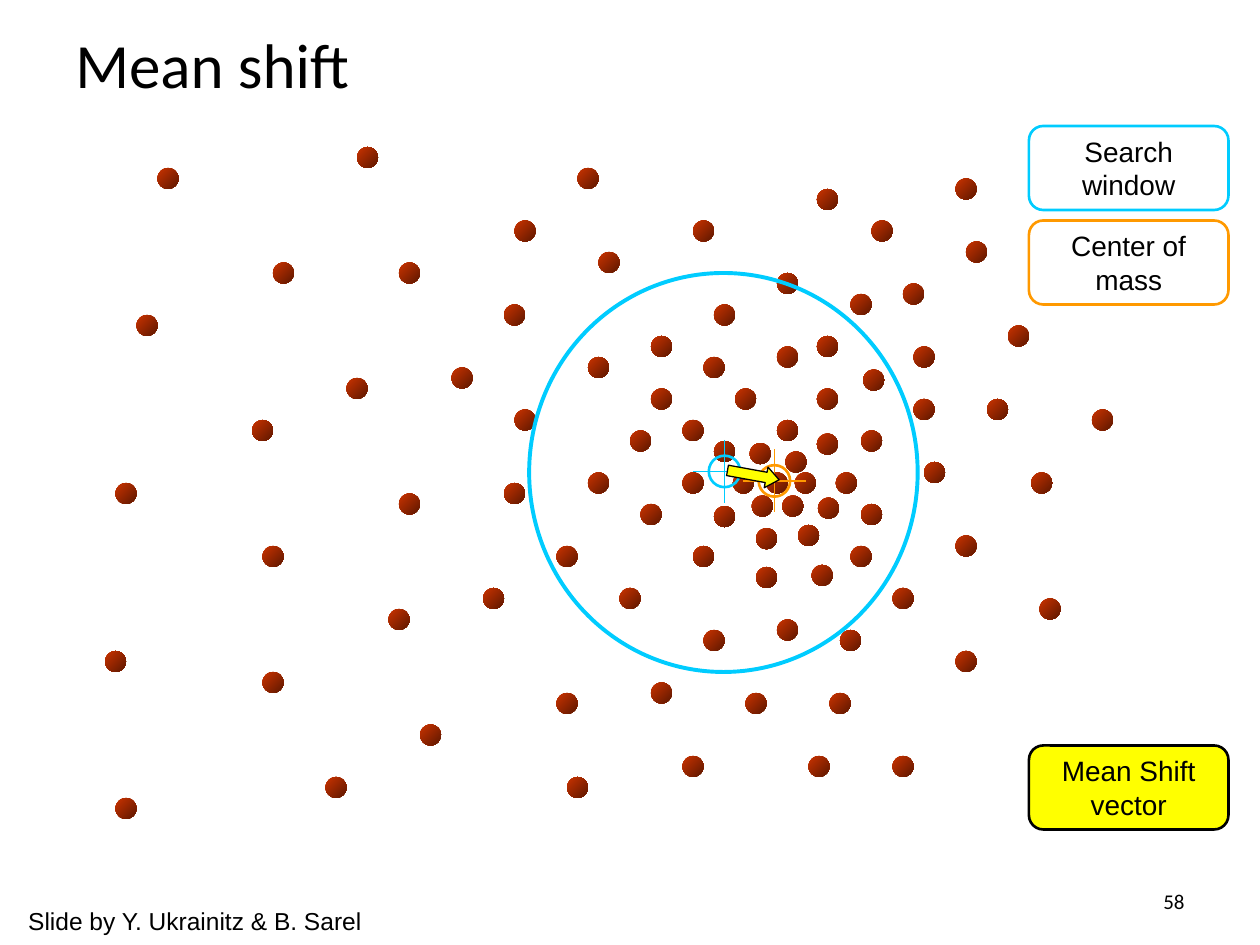
from copy import deepcopy
from pptx import Presentation
from pptx import util as u
from pptx.dml.color import RGBColor
from pptx.enum import shapes, text
from pptx.oxml import ns, xmlchemy

THEME = {
    "sans": "Arial", "head": "Calibri",
    "title": 36, "label": 16, "credit": 14, "number": 12,
    "ink": RGBColor.from_string("000000"),
    "window": RGBColor.from_string("00CCFF"),
    "mass": RGBColor.from_string("FF9900"),
    "vector": RGBColor.from_string("FFFF00"),
    "dot": [RGBColor.from_string("CC3300"), RGBColor.from_string("5E1800")],
}
KIND = shapes.MSO_SHAPE

deck = Presentation()
deck.slide_width, deck.slide_height = u.Inches(10), u.Inches(7.5)
CELL = deck.slide_width / 120
page = deck.slides.add_slide(deck.slide_layouts[6])


def draw(parent, kind, *cells, fill=None, line=None, weight=1.5):
    shape = parent.add_shape(kind, *[round(cell * CELL) for cell in cells])
    shape.shadow.inherit = False
    if fill is None:
        shape.fill.background()
    else:
        shape.fill.solid()
        shape.fill.fore_color.rgb = fill
    if line is None:
        shape.line.fill.background()
    else:
        shape.line.color.rgb = line
        shape.line.width = u.Pt(weight)
    return shape


def write(box, content, size, font=THEME["sans"], align=text.PP_ALIGN.LEFT,
          anchor=text.MSO_ANCHOR.MIDDLE, wrap=True):
    frame = box.text_frame
    frame.text = content
    frame.word_wrap = wrap
    frame.vertical_anchor = anchor
    for para in frame.paragraphs:
        para.alignment = align
        for span in para.runs:
            span.font.size = u.Pt(size)
            span.font.name = font
            span.font.color.rgb = THEME["ink"]
        for line_break in para._p.findall(ns.qn("a:br")):
            line_break.append(deepcopy(para.runs[0]._r.rPr))


dots = [
    (73, 45), (75.7, 45), (74.8, 43), (71.4, 42.2), (74.5, 47.2), (71.6, 47.2),
    (77.9, 47.4), (69.8, 45), (79.6, 45), (77.8, 41.3), (74, 40), (76, 50),
    (72, 50.3), (68, 48.2), (65, 45), (68, 42), (82, 48), (81, 52),
    (77.3, 53.8), (72, 54), (66, 52), (61, 48), (60, 41), (65, 40),
    (70, 37), (77.8, 37), (74, 33), (62, 37), (67, 34), (74, 26),
    (68, 29), (77.8, 32), (77.8, 18), (81, 28), (82.2, 35.2), (82, 41),
    (87, 38), (87, 33), (86, 27), (83, 21), (91, 17), (92, 23),
    (96, 31), (88, 44), (94, 38), (104, 39), (91, 51), (98.2, 45),
    (85, 56), (99, 57), (91, 62), (80, 60), (74, 59), (79, 66),
    (85, 72), (77, 72), (71, 66), (67, 60), (59, 56), (62, 65),
    (65, 72), (54, 74), (53, 66), (46, 56), (53, 52), (56, 45),
    (49, 39), (56, 34), (62, 32), (57, 24), (66, 21), (55, 16),
    (49, 21), (48, 29), (43, 35), (48, 46), (38, 47), (37, 58),
    (40, 69), (31, 74), (25, 64), (25, 52), (33, 36), (38, 25),
    (26, 25), (24, 40), (10, 62), (11, 76), (11, 46), (13, 30),
    (15, 16), (34, 14),
]
for column, row in dots:
    dot = draw(page.shapes, KIND.OVAL, column, row, 2, 2)
    dot.fill.gradient()
    dot.fill.gradient_angle = 315
    for stop, color in zip(dot.fill.gradient_stops, THEME["dot"]):
        stop.color.rgb = color


labels = [
    (12, "Search\vwindow", None, THEME["window"]),
    (21, "Center of\nmass", None, THEME["mass"]),
    (71, "Mean Shift\nvector", THEME["vector"], THEME["ink"]),
]
for row, content, fill, line in labels:
    label = draw(page.shapes, KIND.ROUNDED_RECTANGLE, 98, row, 19, 8, fill=fill, line=line)
    label.adjustments[0] = 0.17
    write(label, content, THEME["label"], align=text.PP_ALIGN.CENTER, wrap=False)

targets = [
    ("window", 69, 44.9, (50.4, 26, 37, 38)),
    ("mass", 73.75, 45.8, None),
]
for name, column, row, ring in targets:
    group = page.shapes.add_group_shape().shapes
    color = THEME[name]
    if ring:
        draw(group, KIND.OVAL, *ring, line=color, weight=2.25)
    draw(group, KIND.OVAL, column - 1.5, row - 1.5, 3, 3, line=color)
    for across, down in [(0, 3), (3, 0)]:
        ends = column - across, row - down, column + across, row + down
        hair = group.add_connector(shapes.MSO_CONNECTOR.STRAIGHT,
                                   *[round(end * CELL) for end in ends])
        hair.line.color.rgb = color
        hair.line.width = u.Pt(0.75)
        hair._element.spPr.append(xmlchemy.OxmlElement("a:effectLst"))

arrow = draw(page.shapes, KIND.RIGHT_ARROW, 69.25, 44.25, 5, 2,
             fill=THEME["vector"], line=THEME["ink"], weight=0.75)
arrow.adjustments[1] = 0.63
arrow.rotation = 10.3

captions = [
    ((6, 0, 108, 12), "Mean shift", {"size": THEME["title"], "font": THEME["head"]}),
    ((1.5, 85.7, 34.5, 4), "Slide by Y. Ukrainitz & B. Sarel",
     {"size": THEME["credit"], "anchor": text.MSO_ANCHOR.TOP, "wrap": False}),
    ((86, 83.4, 28, 4.8), "58",
     {"size": THEME["number"], "font": THEME["head"], "align": text.PP_ALIGN.RIGHT}),
]
for cells, content, style in captions:
    caption = page.shapes.add_textbox(*[round(cell * CELL) for cell in cells])
    write(caption, content, **style)

deck.save("out.pptx")
